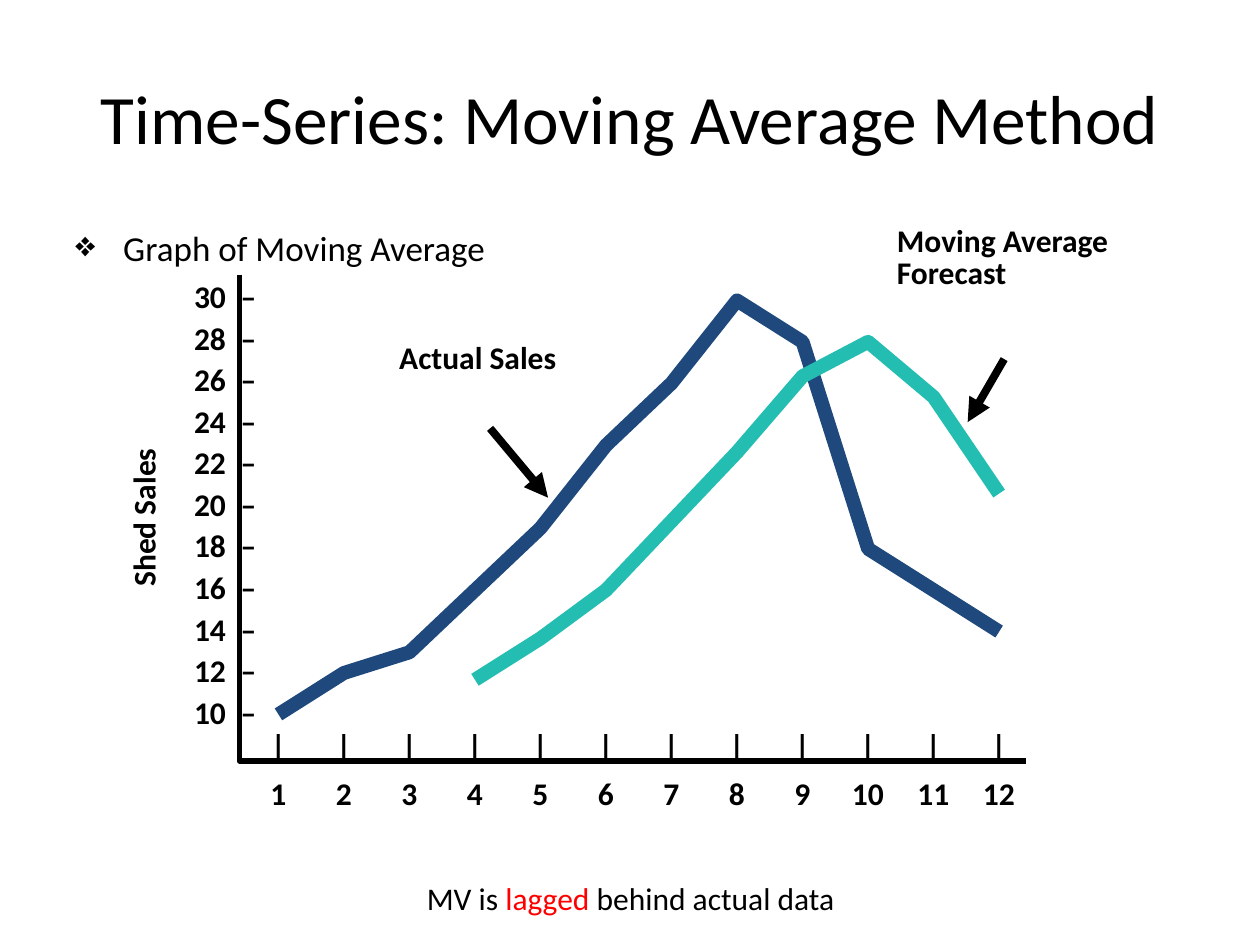
"""Build a slide that compares actual shed sales with their moving average forecast."""
import pptx
import pptx.dml.color
import pptx.enum.shapes
import pptx.enum.text
import pptx.oxml.ns
import pptx.util
from lxml import etree

THEME = {
    "font": "Calibri",
    "ink": "000000", "accent": "FF0000", "actual": "1F497D", "forecast": "24BDB2",
    "title": 39.6, "bullet": 20, "label": 18,
    "axis_line": 3, "series_line": 8, "arrow_line": 4.5,
}
SLIDE_WIDTH, SLIDE_HEIGHT = 10, 7.5

TITLE = "Time-Series: Moving Average Method"
SUBJECT = "Graph of Moving Average"
ACTUAL_SALES = [10, 12, 13, 16, 19, 23, 26, 30, 28, 18, 16, 14]
WINDOW = 3
MONTHS = range(1, len(ACTUAL_SALES) + 1)
SALES_SCALE = range(30, 9, -2)
CAPTION = [("MV is ", "ink"), ("lagged", "accent"), (" behind actual data", "ink")]

AXES = [(19, 29.07), (19, 80.53), (81.4, 80.53)]
FIRST_MONTH_X, MONTH_STEP = 22.1, 5.2
LOWEST_SALES_Y, SALES_UNIT = 75.6, 2.19
TICKS_LEFT, TEXT_INSET = 16.9, 0.1

CALLOUTS = [
    ("Actual Sales", (30.7, 35.73, 15.9, 10.4), (38.9, 45.33), (43.5, 52.67)),
    ("Moving Average Forecast", (70.2, 23.33, 19.2, 14.93), (79.7, 38), (76.8, 44.67)),
]


def across(percent):
    return pptx.util.Inches(SLIDE_WIDTH * percent / 100)


def down(percent):
    return pptx.util.Inches(SLIDE_HEIGHT * percent / 100)


def colour(name):
    return pptx.dml.color.RGBColor.from_string(THEME[name])


def add_xml(parent, tag, **attributes):
    return etree.SubElement(parent, pptx.oxml.ns.qn(tag), attributes)


def add_text(slide, paragraphs, area, size="label", bold=False, align="LEFT", anchor="TOP",
             spacing=None, tabs=(), bullet=None, hanging=0, inset=TEXT_INSET,
             right_inset=TEXT_INSET, rotation=0):
    left, top, width, height = area
    box = slide.shapes.add_textbox(across(left), down(top), across(width), down(height))
    box.rotation = rotation
    frame = box.text_frame
    frame.word_wrap = True
    frame.margin_left = pptx.util.Inches(inset)
    frame.margin_right = pptx.util.Inches(right_inset)
    frame.vertical_anchor = getattr(pptx.enum.text.MSO_ANCHOR, anchor)
    for index, runs in enumerate(paragraphs):
        paragraph = frame.paragraphs[0] if index == 0 else frame.add_paragraph()
        properties = paragraph._p.get_or_add_pPr()
        if bullet:
            indent = pptx.util.Inches(hanging)
            properties.set("marL", str(indent))
            properties.set("indent", str(-indent))
            add_xml(properties, "a:buChar", char=bullet)
        if tabs:
            stops = add_xml(properties, "a:tabLst")
            for position, kind in tabs:
                add_xml(stops, "a:tab", pos=str(pptx.util.Inches(position)), algn=kind)
        paragraph.alignment = getattr(pptx.enum.text.PP_ALIGN, align)
        if spacing:
            paragraph.line_spacing = spacing
        for words, ink in [(runs, "ink")] if isinstance(runs, str) else runs:
            run = paragraph.add_run()
            run.text = words
            run.font.name = THEME["font"]
            run.font.size = pptx.util.Pt(THEME[size])
            run.font.bold = bold
            run.font.color.rgb = colour(ink)


def add_path(slide, points, ink, weight):
    corners = [(across(x), down(y)) for x, y in points]
    builder = slide.shapes.build_freeform(*corners[0])
    builder.add_line_segments(corners[1:], close=False)
    outline = builder.convert_to_shape()
    outline.shadow.inherit = False
    outline.fill.background()
    outline.line.color.rgb = colour(ink)
    outline.line.width = pptx.util.Pt(THEME[weight])


def add_arrow(slide, start, end):
    arrow = slide.shapes.add_connector(
        pptx.enum.shapes.MSO_CONNECTOR.STRAIGHT,
        across(start[0]), down(start[1]), across(end[0]), down(end[1]))
    arrow.line.color.rgb = colour("ink")
    arrow.line.width = pptx.util.Pt(THEME["arrow_line"])
    add_xml(arrow.line._get_or_add_ln(), "a:tailEnd", type="triangle")
    add_xml(arrow._element.spPr, "a:effectLst")


def series_points(sales_by_month):
    return [(FIRST_MONTH_X + MONTH_STEP * (month - MONTHS[0]),
             LOWEST_SALES_Y - SALES_UNIT * (sales - SALES_SCALE[-1]))
            for month, sales in sales_by_month]


def main():
    deck = pptx.Presentation()
    deck.slide_width, deck.slide_height = across(100), down(100)
    slide = deck.slides.add_slide(deck.slide_layouts[6])

    add_text(slide, [TITLE], (5, 4, 90, 16.67), size="title", align="CENTER", anchor="MIDDLE")
    add_text(slide, [SUBJECT], (5, 23.33, 90, 66), size="bullet", bullet="❖", hanging=0.38)

    month_tabs = [((x - TICKS_LEFT) * SLIDE_WIDTH / 100 - TEXT_INSET, "ctr")
                  for x, _ in series_points(zip(MONTHS, ACTUAL_SALES))]
    month_rows = ["".join(f"\t{mark}" for mark in row) for row in ("|" * len(MONTHS), MONTHS)]
    add_text(slide, month_rows, (TICKS_LEFT, 75.2, 65.3, 11.47), bold=True, spacing=1.25,
             tabs=month_tabs)
    add_path(slide, AXES, "ink", "axis_line")
    add_text(slide, ["Shed Sales"], (3.7, 50.53, 15.3, 5.33), bold=True, rotation=270)
    add_text(slide, [f"{sales}\t–" for sales in SALES_SCALE], (13.7, 28.27, 7.6, 49.73),
             bold=True, spacing=1.1, tabs=[(0.37, "l")], inset=0.17, right_inset=0)

    forecast = [(month, sum(ACTUAL_SALES[month - 1 - WINDOW:month - 1]) / WINDOW)
                for month in MONTHS[WINDOW:]]
    add_path(slide, series_points(zip(MONTHS, ACTUAL_SALES)), "actual", "series_line")
    add_path(slide, series_points(forecast), "forecast", "series_line")

    for words, area, start, end in CALLOUTS:
        add_text(slide, [words], area, bold=True, spacing=0.85)
        add_arrow(slide, start, end)
    add_text(slide, [CAPTION], (14.2, 92.4, 71.7, 5.33), align="CENTER")
    deck.save("out.pptx")


if __name__ == "__main__":
    main()
